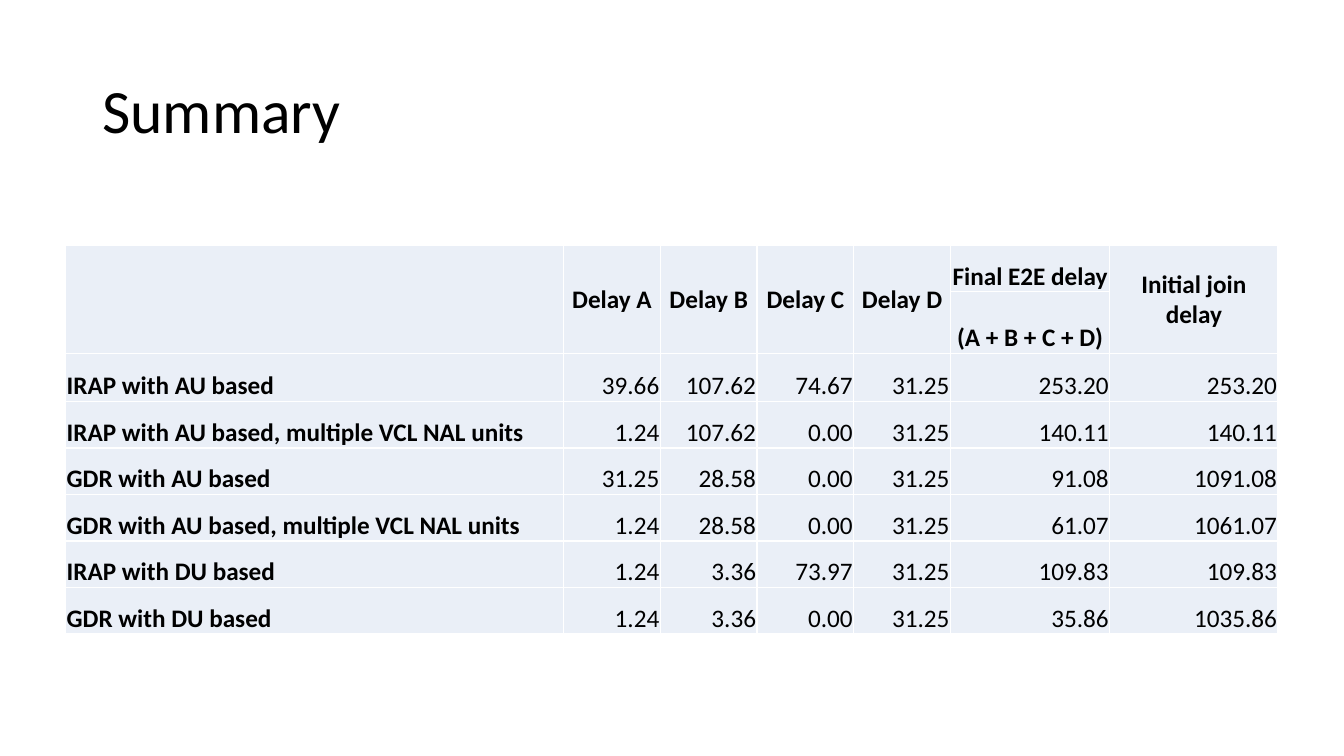
from lxml import etree
from pptx import Presentation
from pptx.dml.color import RGBColor
from pptx.enum import text
from pptx.oxml.ns import qn
from pptx.util import Pt

ALIGN, ANCHOR = text.PP_ALIGN, text.MSO_ANCHOR


def rgb(color):
    return RGBColor.from_string(color)


def style_cell(cell, value, align, anchor, bold):
    """Write one cell with its fill, margins and white borders."""
    cell.text = value
    cell.vertical_anchor = anchor
    cell.margin_left = cell.margin_right = cell.margin_top = Pt(0.75)
    cell.margin_bottom = 0
    p = cell.text_frame.paragraphs[0]
    p.alignment = align
    p.font.name, p.font.size, p.font.bold = "Calibri", Pt(18), bold
    p.font.color.rgb = rgb("000000")
    props = cell._tc.get_or_add_tcPr()
    for side in ("a:lnL", "a:lnR", "a:lnT", "a:lnB"):
        line = etree.SubElement(props, qn(side), w=str(Pt(1)))
        fill = etree.SubElement(line, qn("a:solidFill"))
        etree.SubElement(fill, qn("a:srgbClr"), val="FFFFFF")
    cell.fill.solid()
    cell.fill.fore_color.rgb = rgb("EAEFF7")


prs = Presentation()
prs.slide_width, prs.slide_height = Pt(960), Pt(540)
slide = prs.slides.add_slide(prs.slide_layouts[6])

# Title
title = slide.shapes.add_textbox(Pt(66), Pt(28.75), Pt(828), Pt(104.4))
tf = title.text_frame
tf.word_wrap = True
tf.vertical_anchor = ANCHOR.MIDDLE
p = tf.paragraphs[0]
p.text = "Summary"
p.line_spacing = 0.9
p.font.name, p.font.size = "Calibri", Pt(44)
p.font.color.rgb = rgb("000000")

# Delay table: two header rows, then one row per method
header = [
    ["", "Delay A", "Delay B", "Delay C", "Delay D", "Final E2E delay", "Initial join delay"],
    ["", "", "", "", "", "(A + B + C + D)", ""],
]
methods = [
    ["IRAP with AU based", "39.66", "107.62", "74.67", "31.25", "253.20", "253.20"],
    ["IRAP with AU based, multiple VCL NAL units", "1.24", "107.62", "0.00", "31.25", "140.11", "140.11"],
    ["GDR with AU based", "31.25", "28.58", "0.00", "31.25", "91.08", "1091.08"],
    ["GDR with AU based, multiple VCL NAL units", "1.24", "28.58", "0.00", "31.25", "61.07", "1061.07"],
    ["IRAP with DU based", "1.24", "3.36", "73.97", "31.25", "109.83", "109.83"],
    ["GDR with DU based", "1.24", "3.36", "0.00", "31.25", "35.86", "1035.86"],
]
widths = [355.7] + [69.1] * 4 + [113.8, 120.2]
heights = [33.2, 34.5, 34.5] + [33.2] * 5
SPLIT_COLUMN = 5

table = slide.shapes.add_table(
    len(heights), len(widths), Pt(46.9), Pt(175.2), Pt(sum(widths)), Pt(sum(heights))
).table
table.first_row = table.horz_banding = False
for column, width in zip(table.columns, widths):
    column.width = Pt(width)
for row, height in zip(table.rows, heights):
    row.height = Pt(height)

for r, values in enumerate(header + methods):
    for c, value in enumerate(values):
        in_header = r < len(header)
        if in_header:
            align = ALIGN.CENTER
        else:
            align = ALIGN.RIGHT if c else ALIGN.LEFT
        anchor = ANCHOR.MIDDLE if in_header and c != SPLIT_COLUMN else ANCHOR.BOTTOM
        style_cell(table.cell(r, c), value, align, anchor, in_header or c == 0)

for c in range(len(widths)):
    if c != SPLIT_COLUMN:
        table.cell(0, c).merge(table.cell(1, c))

prs.save("out.pptx")
